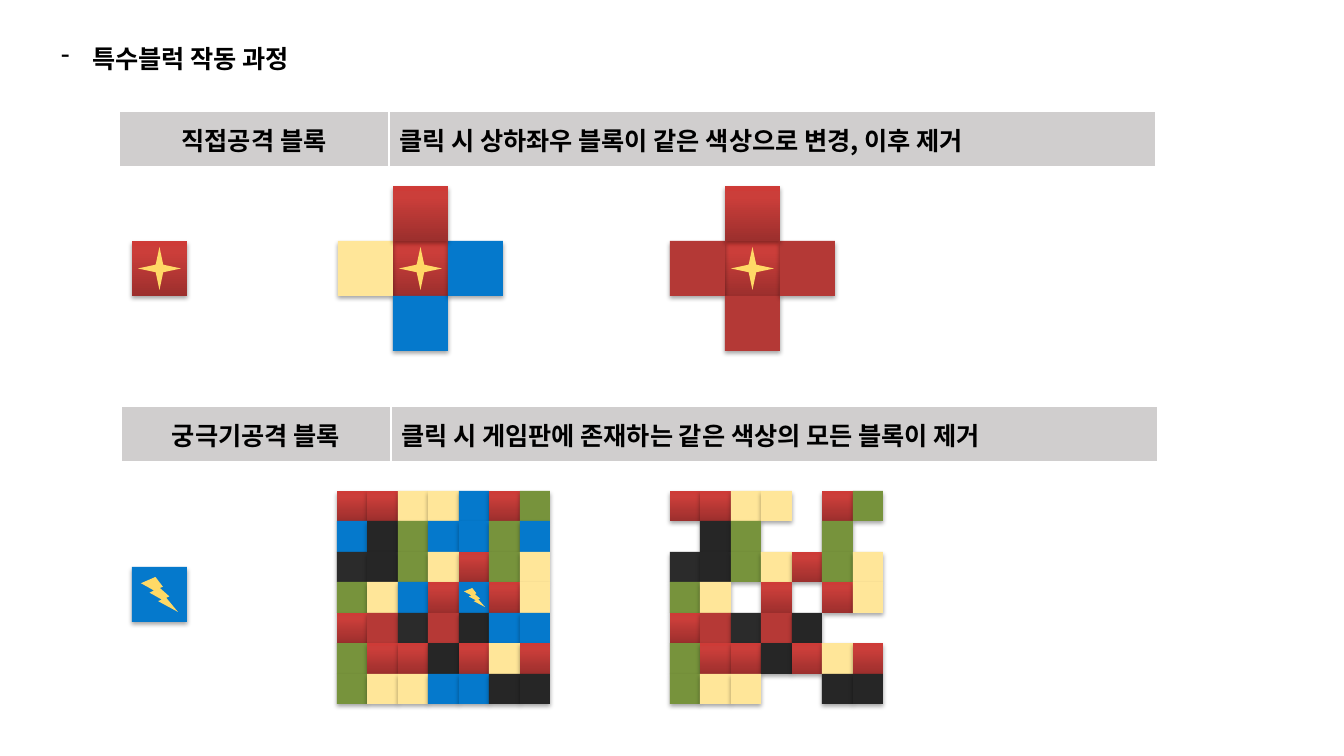
from copy import deepcopy

from lxml.etree import SubElement
from pptx import Presentation
from pptx.dml.color import RGBColor
from pptx.enum.shapes import MSO_SHAPE
from pptx.enum.text import MSO_ANCHOR, MSO_AUTO_SIZE, PP_ALIGN
from pptx.oxml import parse_xml
from pptx.oxml.ns import nsdecls, qn
from pptx.util import Pt

PX = 914400 / 100.8
FONT = "Noto Sans CJK KR"
BLACK = RGBColor(0x00, 0x00, 0x00)
HEADER_GRAY = RGBColor(0xD0, 0xCE, 0xCE)
GOLD = RGBColor(0xFF, 0xD9, 0x66)
BLUE = RGBColor(0x05, 0x79, 0xCC)
YELLOW = RGBColor(0xFF, 0xE6, 0x99)
GREEN = RGBColor(0x77, 0x93, 0x3C)
CHARCOAL = RGBColor(0x26, 0x26, 0x26)
DARK_GRAY = RGBColor(0x2B, 0x2B, 0x2B)
BRICK = RGBColor(0xB6, 0x39, 0x36)
CHANGED_RED = RGBColor(0xB4, 0x39, 0x36)
GLOSSY_RED = [
    (0, RGBColor(0x9C, 0x2F, 0x2D)),
    (0.8, RGBColor(0xCB, 0x3E, 0x3A)),
    (1, RGBColor(0xCE, 0x3B, 0x37)),
]
SHADOW = (
    f'<a:outerShdw {nsdecls("a")} blurRad="40000" dist="23000" dir="5400000" rotWithShape="0">'
    '<a:srgbClr val="000000"><a:alpha val="35000"/></a:srgbClr></a:outerShdw>'
)


def add_piece(shapes, kind, left, top, width, height, color):
    """Draw a block or its symbol; square blocks cast a shadow."""
    shape = shapes.add_shape(kind, *[round(value * PX) for value in (left, top, width, height)])
    shape.line.fill.background()
    shape.shadow.inherit = False
    if kind == MSO_SHAPE.RECTANGLE:
        shape._element.spPr.find(qn("a:effectLst")).append(parse_xml(SHADOW))
    if color is GLOSSY_RED:
        shape.fill.gradient()
        shape.fill.gradient_angle = 90
        stop_list = shape._element.spPr.find(".//" + qn("a:gsLst"))
        stop_list.append(deepcopy(stop_list[0]))
        for stop, (position, stop_color) in zip(shape.fill.gradient_stops, GLOSSY_RED):
            stop.position = position
            stop.color.rgb = stop_color
    else:
        shape.fill.solid()
        shape.fill.fore_color.rgb = color


def write_text(paragraph, text, alignment):
    paragraph.alignment = alignment
    run = paragraph.add_run()
    run.text = text
    for name, value in {"size": Pt(18), "bold": True, "name": FONT}.items():
        setattr(run.font, name, value)
    run.font.color.rgb = BLACK
    SubElement(run._r.get_or_add_rPr(), qn("a:ea"), typeface=FONT)


presentation = Presentation()
presentation.slide_width = round(1344 * PX)
presentation.slide_height = round(756 * PX)
slide = presentation.slides.add_slide(presentation.slide_layouts[5])

# Title with a dash bullet
title = slide.shapes.title
for name, value in {"left": 51, "top": 38, "width": 1249, "height": 40}.items():
    setattr(title, name, round(value * PX))
for name, value in {
    "word_wrap": True,
    "auto_size": MSO_AUTO_SIZE.NONE,
    "vertical_anchor": MSO_ANCHOR.MIDDLE,
}.items():
    setattr(title.text_frame, name, value)
title_paragraph = title.text_frame.paragraphs[0]
write_text(title_paragraph, "특수블럭 작동 과정", PP_ALIGN.LEFT)
title_properties = title_paragraph._p.get_or_add_pPr()
title_properties.set("marL", str(round(31 * PX)))
title_properties.set("indent", str(round(-31 * PX)))
SubElement(title_properties, qn("a:buFontTx"))
SubElement(title_properties, qn("a:buChar"), char="-")

# Direct attack: the lone block, then the cross before and after the click
for left in (132, 393, 725):
    icon = slide.shapes.add_group_shape()
    add_piece(icon.shapes, MSO_SHAPE.RECTANGLE, left, 241, 55, 55, GLOSSY_RED)
    add_piece(icon.shapes, MSO_SHAPE.STAR_4_POINT, left + 6, 247, 43, 43, GOLD)
for left, neighbor_colors in (
    (393, (YELLOW, BLUE, BLUE, GLOSSY_RED)),
    (725, (CHANGED_RED, CHANGED_RED, CHANGED_RED, GLOSSY_RED)),
):
    for (column, row), color in zip(((-1, 0), (0, 1), (1, 0), (0, -1)), neighbor_colors):
        add_piece(slide.shapes, MSO_SHAPE.RECTANGLE,
                  left + column * 55, 241 + row * 55, 55, 55, color)

# Ultimate attack: the lone block
icon = slide.shapes.add_group_shape()
add_piece(icon.shapes, MSO_SHAPE.RECTANGLE, 132, 567, 55, 55, BLUE)
add_piece(icon.shapes, MSO_SHAPE.LIGHTNING_BOLT, 141, 577, 37, 35, GOLD)

# Heading tables
for left, top, texts in (
    (119, 111, ("직접공격 블록", "클릭 시 상하좌우 블록이 같은 색상으로 변경, 이후 제거")),
    (121, 406, ("궁극기공격 블록", "클릭 시 게임판에 존재하는 같은 색상의 모든 블록이 제거")),
):
    frame = slide.shapes.add_table(
        1, 2, *[round(value * PX) for value in (left, top, 1037, 57)])
    table = frame.table
    for index, (width, alignment) in enumerate(((270, PP_ALIGN.CENTER), (767, PP_ALIGN.LEFT))):
        table.columns[index].width = round(width * PX)
        cell = table.cell(0, index)
        cell.vertical_anchor = MSO_ANCHOR.MIDDLE
        cell.fill.solid()
        cell.fill.fore_color.rgb = HEADER_GRAY
        write_text(cell.text_frame.paragraphs[0], texts[index], alignment)
        for order, (side, points) in enumerate((("L", 1), ("R", 1), ("T", 1), ("B", 3))):
            cell._tc.get_or_add_tcPr().insert(order, parse_xml(
                f'<a:ln{side} {nsdecls("a")} w="{Pt(points)}"><a:solidFill>'
                f'<a:srgbClr val="FFFFFF"/></a:solidFill></a:ln{side}>'))

# Game boards: before the click, and after all blue blocks are gone
BOARD_ROWS = ("RRYYBRG", "KKGBBGB", "DKGYRGY", "GYBRBRY", "RMDMKBB", "GRRKRYR", "GYYBBKK")
BOARD_ROWS = (BOARD_ROWS[0], "BKGBBGB", *BOARD_ROWS[2:])
BOARD_COLORS = {"R": GLOSSY_RED, "Y": YELLOW, "B": BLUE, "G": GREEN,
                "K": CHARCOAL, "D": DARK_GRAY, "M": BRICK}
BOARD_SIZE = 213
edges = [round(index * BOARD_SIZE / 7) for index in range(8)]
for left, removed in ((337, ""), (670, "B")):
    board = slide.shapes.add_group_shape()
    for row, letters in enumerate(BOARD_ROWS):
        for column, letter in enumerate(letters):
            if letter != removed:
                add_piece(board.shapes, MSO_SHAPE.RECTANGLE,
                          left + edges[column], 491 + edges[row],
                          edges[column + 1] - edges[column], edges[row + 1] - edges[row],
                          BOARD_COLORS[letter])
add_piece(slide.shapes, MSO_SHAPE.LIGHTNING_BOLT, 464, 588, 21, 19, GOLD)

presentation.save("out.pptx")
